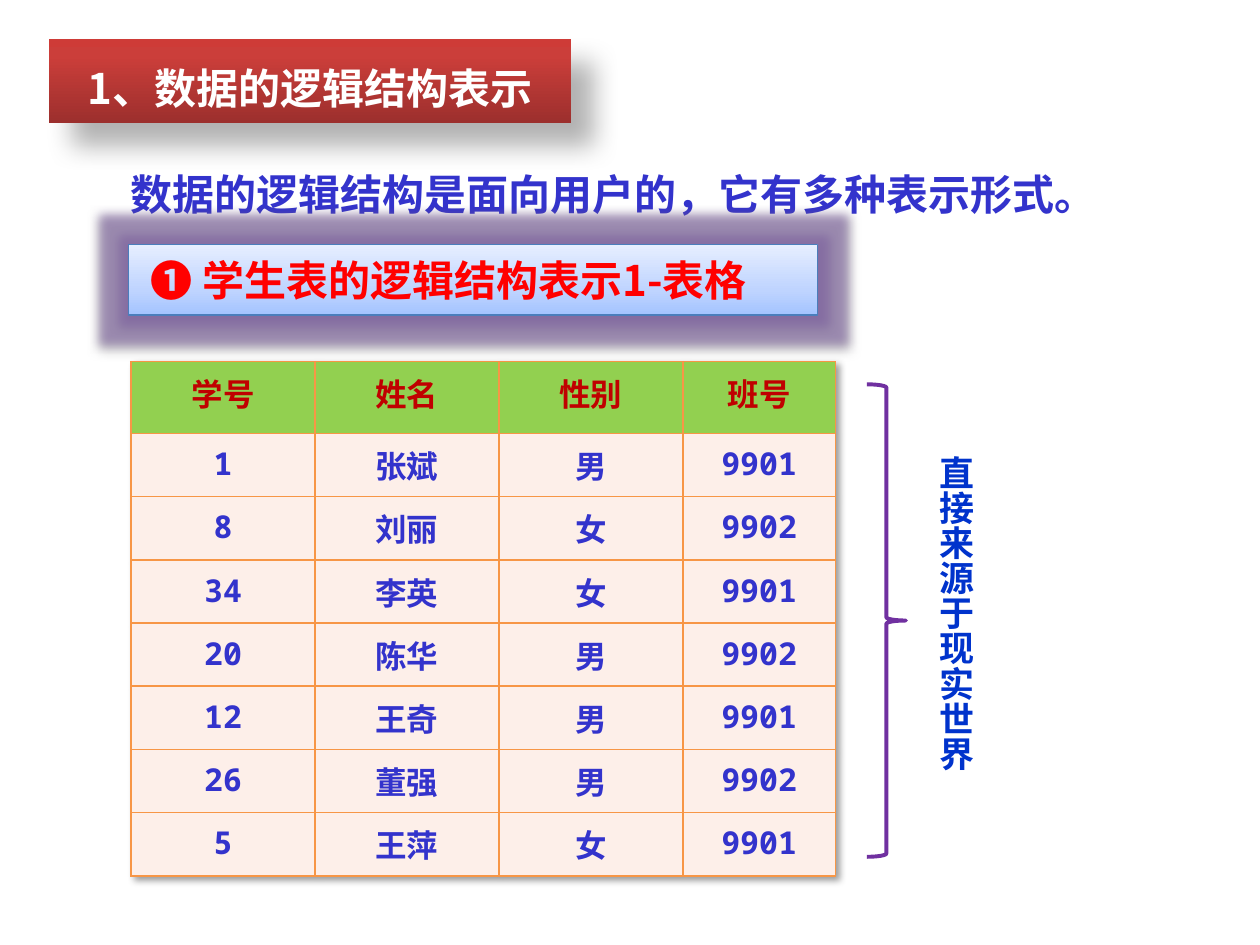
from dataclasses import dataclass

from lxml.etree import SubElement
from pptx import Presentation
from pptx.dml.color import RGBColor
from pptx.enum.shapes import MSO_SHAPE
from pptx.enum.text import MSO_ANCHOR, MSO_AUTO_SIZE, PP_ALIGN
from pptx.oxml.ns import qn
from pptx.util import Inches, Pt


@dataclass(frozen=True)
class Theme:
    """Colours, fonts and type sizes of the slide."""
    white: str = "FFFFFF"
    body: str = "3333CC"
    alert: str = "FF0000"
    note: str = "0033CC"
    header: str = "C00000"
    header_fill: str = "92D050"
    cell_fill: str = "FDEFE9"
    border: str = "F79646"
    brace: str = "7030A0"
    panel_line: str = "4B7EBC"
    glow: str = "8064A2"
    shadow: str = "000000"
    title_stops: tuple = ((0, "9C2F2D"), (80, "CB3E3A"), (100, "CE3B37"))
    panel_stops: tuple = ((0, "A4C4FF"), (35, "BFD4FF"), (100, "E6EEFF"))
    chinese: str = "Noto Sans CJK SC"
    serif: str = "Times New Roman"
    mono: str = "Noto Sans Mono"
    large: int = 24
    medium: int = 20
    small: int = 18


def apply(target, values):
    """Set each attribute named in values."""
    for name, value in values.items():
        setattr(target, name, value)


def add_color(parent, color, alpha=100):
    """Add a colour element with an opacity in percent."""
    node = SubElement(parent, qn("a:srgbClr"), val=color)
    if alpha < 100:
        SubElement(node, qn("a:alpha"), val=str(alpha * 1000))


def add_shadow(effects, color, alpha, blur, distance, angle):
    """Add an outer shadow to an effect list."""
    node = SubElement(effects, qn("a:outerShdw"), blurRad=str(Pt(blur)),
                      dist=str(Pt(distance)), dir=str(angle * 60000),
                      algn="tl", rotWithShape="0")
    add_color(node, color, alpha)


class SlidePainter:
    """Draws styled elements on the current slide."""

    def __init__(self, deck, theme):
        self.theme = theme
        self.slide = deck.slides.add_slide(deck.slide_layouts[5])

    def paragraph(self, frame, text, color, size, latin, **values):
        """Fill a text frame with one bold paragraph."""
        para = frame.paragraphs[0]
        apply(para, values)
        span = para.add_run()
        span.text = text
        apply(span.font, {"name": latin, "size": Pt(size), "bold": True})
        span.font.color.rgb = RGBColor.from_string(color)
        SubElement(span.font._element, qn("a:ea"), typeface=self.theme.chinese)
        return para

    def place(self, shape, area):
        """Move and size a shape."""
        apply(shape, dict(zip(("left", "top", "width", "height"), map(Inches, area))))

    def frame(self, shape, **values):
        """Format the text frame of a shape."""
        apply(shape.text_frame, {"word_wrap": True, "auto_size": MSO_AUTO_SIZE.NONE,
                                 **values})
        return shape.text_frame

    def gradient(self, shape, stops):
        """Fill a shape with a gradient that runs upwards."""
        shape.fill.gradient()
        shape.fill.gradient_angle = 90
        stop_list = shape._element.spPr.find(".//" + qn("a:gsLst"))
        stop_list[:] = []
        for position, color in stops:
            add_color(SubElement(stop_list, qn("a:gs"), pos=str(position * 1000)), color)

    def effects(self, shape):
        """Replace inherited effects and return the empty list."""
        shape.shadow.inherit = False
        return shape._element.spPr.find(qn("a:effectLst"))

    def title(self, text, area):
        """Format the title as a red banner."""
        theme, box = self.theme, self.slide.shapes.title
        self.place(box, area)
        self.gradient(box, theme.title_stops)
        add_shadow(self.effects(box), theme.shadow, 30, 15, 18, 45)
        frame = self.frame(box, vertical_anchor=MSO_ANCHOR.MIDDLE,
                           margin_top=Inches(0.12), margin_bottom=Inches(0.05))
        self.paragraph(frame, text, theme.white, theme.large, theme.chinese,
                       alignment=PP_ALIGN.CENTER, line_spacing=1.1)

    def text(self, text, area, color, size, latin, spacing, vertical=False):
        """Add a text box, upright or in a column."""
        box = self.slide.shapes.add_textbox(*map(Inches, area))
        frame = self.frame(box)
        if vertical:
            frame._txBody.bodyPr.set("vert", "eaVert")
        self.paragraph(frame, text, color, size, latin, line_spacing=spacing)

    def panel(self, text, area):
        """Add a glowing heading panel."""
        theme = self.theme
        box = self.slide.shapes.add_shape(MSO_SHAPE.RECTANGLE, *map(Inches, area))
        self.gradient(box, theme.panel_stops)
        box.line.color.rgb = RGBColor.from_string(theme.panel_line)
        box.line.width = Pt(0.75)
        effects = self.effects(box)
        add_color(SubElement(effects, qn("a:glow"), rad=str(Pt(11))), theme.glow, 60)
        add_shadow(effects, theme.shadow, 38, 3.1, 1.6, 90)
        frame = self.frame(box, vertical_anchor=MSO_ANCHOR.MIDDLE,
                           margin_top=Inches(0.08), margin_bottom=Inches(0.08))
        para = self.paragraph(frame, text, theme.alert, theme.large, theme.chinese,
                              alignment=PP_ALIGN.LEFT)
        para._p.get_or_add_pPr().set("marL", str(Inches(0.08)))

    def brace(self, area):
        """Add a right brace."""
        shape = self.slide.shapes.add_shape(MSO_SHAPE.RIGHT_BRACE, *map(Inches, area))
        shape.shadow.inherit = False
        shape.fill.background()
        shape.line.color.rgb = RGBColor.from_string(self.theme.brace)
        shape.line.width = Pt(2.25)

    def cell(self, cell, text, color, fill):
        """Format one bordered table cell."""
        theme = self.theme
        apply(cell, {"margin_top": Inches(0.07), "margin_bottom": Inches(0.07),
                     "vertical_anchor": MSO_ANCHOR.TOP})
        self.paragraph(cell.text_frame, text, color, theme.small, theme.mono,
                       alignment=PP_ALIGN.CENTER)
        properties = cell._tc.get_or_add_tcPr()
        for side in ("lnL", "lnR", "lnT", "lnB"):
            line = SubElement(properties, qn(f"a:{side}"), w=str(Pt(1)))
            add_color(SubElement(line, qn("a:solidFill")), theme.border)
        cell.fill.solid()
        cell.fill.fore_color.rgb = RGBColor.from_string(fill)

    def table(self, rows, area, widths, heights):
        """Add a table with a header row and a soft shadow."""
        theme = self.theme
        table = self.slide.shapes.add_table(
            len(rows), len(widths), *map(Inches, area)).table
        properties = table._tbl.tblPr
        effects = SubElement(properties, qn("a:effectLst"))
        properties.insert(0, effects)
        add_shadow(effects, theme.shadow, 40, 4, 3, 45)
        for column, width in zip(table.columns, widths):
            column.width = Inches(width)
        for index, (row, height) in enumerate(zip(table.rows, heights)):
            row.height = Inches(height)
            color, fill = ((theme.body, theme.cell_fill) if index
                           else (theme.header, theme.header_fill))
            for cell, text in zip(row.cells, rows[index]):
                self.cell(cell, text, color, fill)


def main():
    """Build and save the slide."""
    deck = Presentation()
    apply(deck, {"slide_width": Inches(10), "slide_height": Inches(7.5)})
    theme = Theme()
    painter = SlidePainter(deck, theme)
    students = [
        ("学号", "姓名", "性别", "班号"),
        ("1", "张斌", "男", "9901"),
        ("8", "刘丽", "女", "9902"),
        ("34", "李英", "女", "9901"),
        ("20", "陈华", "男", "9902"),
        ("12", "王奇", "男", "9901"),
        ("26", "董强", "男", "9902"),
        ("5", "王萍", "女", "9901"),
    ]
    painter.title("1、数据的逻辑结构表示", (0.39, 0.31, 4.14, 0.67))
    painter.text("数据的逻辑结构是面向用户的，它有多种表示形式。", (0.94, 1.17, 8.36, 0.63),
                 theme.body, theme.large, theme.serif, 1.3)
    painter.table(students, (1.04, 2.87, 5.6, 4), [1.46] * 3 + [1.21],
                  [0.57] + [0.49] * 7)
    painter.panel("❶ 学生表的逻辑结构表示1-表格", (1.02, 1.94, 5.47, 0.56))
    painter.brace((6.88, 3.05, 0.31, 3.75))
    painter.text("直接来源于现实世界", (7.27, 3.52, 0.47, 2.73),
                 theme.note, theme.medium, theme.chinese, 0.8, vertical=True)
    deck.save("out.pptx")


if __name__ == "__main__":
    main()
